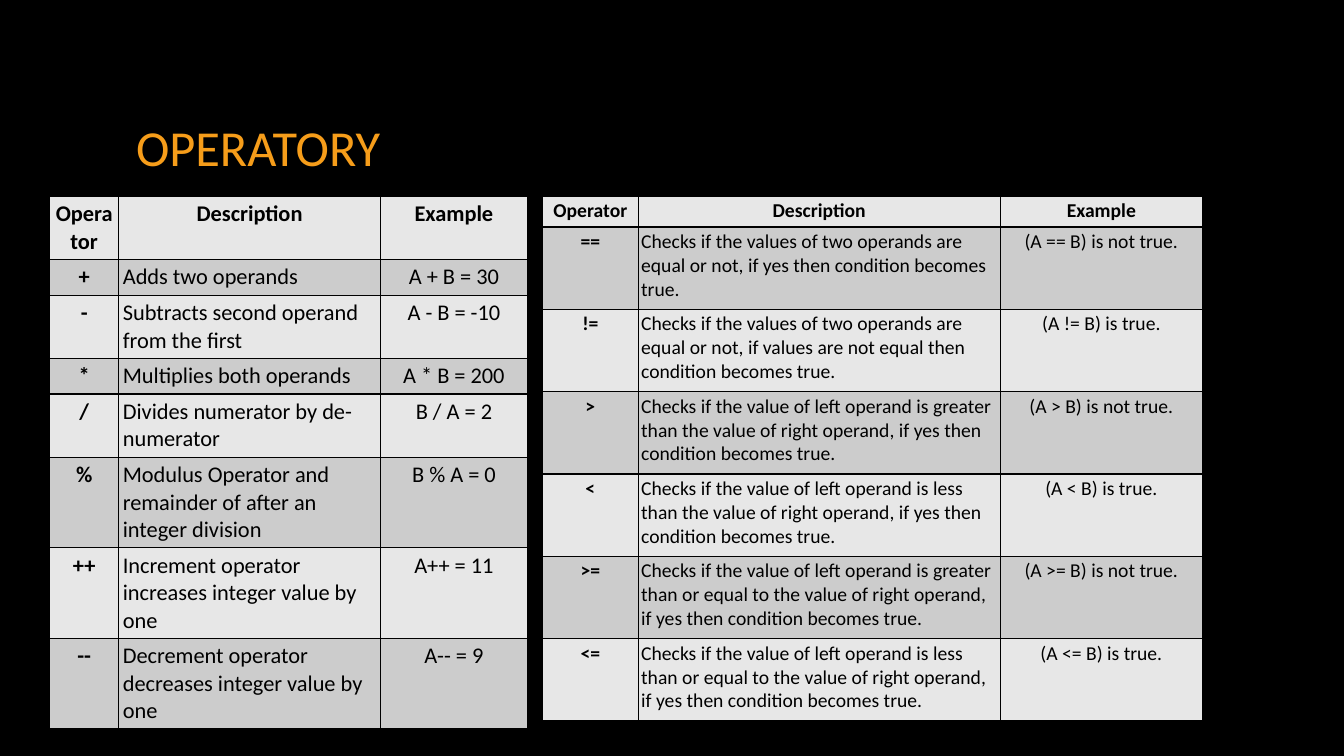
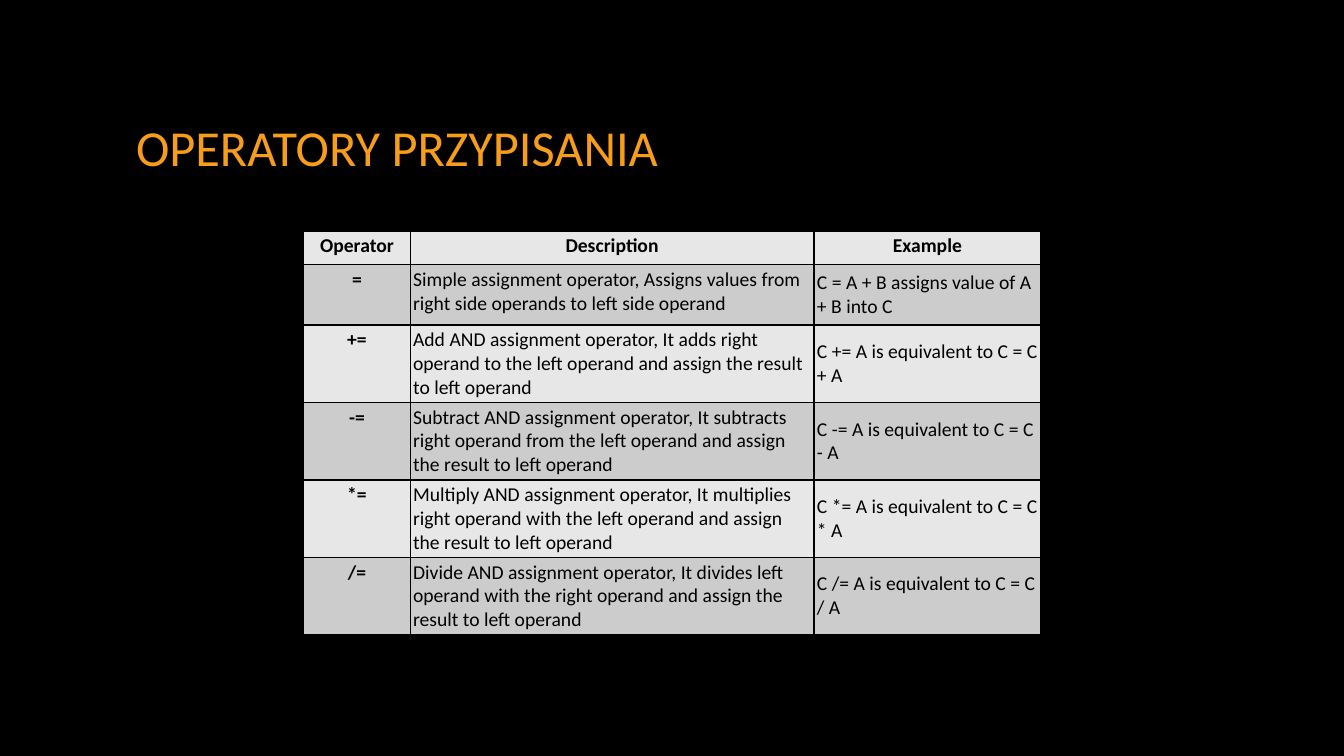
from lxml import etree
from pptx import Presentation
from pptx.dml.color import RGBColor
from pptx.enum import text
from pptx.oxml.ns import qn
from pptx.util import Pt

FONT = "Calibri"
BLACK = RGBColor(0x00, 0x00, 0x00)
ORANGE = RGBColor(0xF6, 0x9D, 0x1A)
LIGHT = RGBColor(0xE7, 0xE7, 0xE7)
GREY = RGBColor(0xCC, 0xCC, 0xCC)
CENTER, LEFT = text.PP_ALIGN.CENTER, text.PP_ALIGN.LEFT
TOP, MIDDLE = text.MSO_ANCHOR.TOP, text.MSO_ANCHOR.MIDDLE
HEADER = ("Operator", "Description", "Example")

# Table contents
ARITHMETIC = [
    ("+", "Adds two operands", "A + B = 30"),
    ("-", "Subtracts second operand from the first", "A - B = -10"),
    ("*", "Multiplies both operands", "A * B = 200"),
    ("/", "Divides numerator by de-numerator", "B / A = 2"),
    ("%", "Modulus Operator and remainder of after an integer division", "B % A = 0"),
    ("++", "Increment operator increases integer value by one", "A++ = 11"),
    ("--", "Decrement operator decreases integer value by one", "A-- = 9"),
]
COMPARISON = [
    ("==", "Checks if the values of two operands are equal or not, "
     "if yes then condition becomes true.", "(A == B) is not true."),
    ("!=", "Checks if the values of two operands are equal or not, "
     "if values are not equal then condition becomes true.", "(A != B) is true."),
    (">", "Checks if the value of left operand is greater than the value of "
     "right operand, if yes then condition becomes true.", "(A > B) is not true."),
    ("<", "Checks if the value of left operand is less than the value of "
     "right operand, if yes then condition becomes true.", "(A < B) is true."),
    (">=", "Checks if the value of left operand is greater than or equal to the value of "
     "right operand, if yes then condition becomes true.", "(A >= B) is not true."),
    ("<=", "Checks if the value of left operand is less than or equal to the value of "
     "right operand, if yes then condition becomes true.", "(A <= B) is true."),
]
ASSIGNMENT = [
    ("=", "Simple assignment operator, Assigns values from right side operands "
     "to left side operand", "C = A + B assigns value of A + B into C"),
    ("+=", "Add AND assignment operator, It adds right operand to the left operand "
     "and assign the result to left operand", "C += A is equivalent to C = C + A"),
    ("-=", "Subtract AND assignment operator, It subtracts right operand from the left "
     "operand and assign the result to left operand", "C -= A is equivalent to C = C - A"),
    ("*=", "Multiply AND assignment operator, It multiplies right operand with the left "
     "operand and assign the result to left operand", "C *= A is equivalent to C = C * A"),
    ("/=", "Divide AND assignment operator, It divides left operand with the right "
     "operand and assign the result to left operand", "C /= A is equivalent to C = C / A"),
]


def add_borders(cell):
    """Give all four sides of a cell a 1 pt black line."""
    tcPr = cell._tc.get_or_add_tcPr()
    for side in ("a:lnL", "a:lnR", "a:lnT", "a:lnB"):
        ln = etree.SubElement(tcPr, qn(side), w=str(Pt(1)))
        fill = etree.SubElement(ln, qn("a:solidFill"))
        etree.SubElement(fill, qn("a:srgbClr"), val=str(BLACK))


def add_operator_table(s, left, top, widths, heights, rows, size, inset,
                       example_align=CENTER, example_anchor=TOP):
    """Add a table with a header row and alternating row fills."""
    tbl = s.shapes.add_table(len(heights), len(widths), Pt(left), Pt(top),
                             Pt(sum(widths)), Pt(sum(heights))).table
    tbl.first_row = tbl.horz_banding = False
    for col, width in zip(tbl.columns, widths):
        col.width = Pt(width)
    for i, (row, height, values) in enumerate(zip(tbl.rows, heights, [HEADER] + rows)):
        row.height = Pt(height)
        for j, (cell, value) in enumerate(zip(row.cells, values)):
            is_header = i == 0
            is_example = j == 2 and not is_header
            add_borders(cell)
            cell.fill.solid()
            cell.fill.fore_color.rgb = GREY if i % 2 else LIGHT
            cell.margin_left = cell.margin_right = Pt(inset)
            cell.margin_top = cell.margin_bottom = Pt(inset)
            cell.vertical_anchor = example_anchor if is_example else TOP
            p = cell.text_frame.paragraphs[0]
            p.alignment = CENTER if is_header else (CENTER, LEFT, example_align)[j]
            r = p.add_run()
            r.text = value
            r.font.name, r.font.size = FONT, Pt(size)
            r.font.bold = is_header or j == 0
            r.font.color.rgb = BLACK


# Presentation, shared background and title position
prs = Presentation()
prs.slide_width, prs.slide_height = Pt(960), Pt(540)
bg = prs.slide_master.background.fill
bg.solid()
bg.fore_color.rgb = BLACK
layout = prs.slide_layouts[5]
sp = layout.placeholders[0]
sp.left, sp.top, sp.width, sp.height = Pt(90), Pt(49), Pt(780), Pt(116.5)

# Slides with their titles
slides = []
for title in ("OPERATORY", "OPERATORY PRZYPISANIA"):
    s = prs.slides.add_slide(layout)
    tf = s.shapes.title.text_frame
    tf.auto_size = text.MSO_AUTO_SIZE.NONE
    tf.vertical_anchor = MIDDLE
    p = tf.paragraphs[0]
    p.alignment, p.line_spacing = LEFT, 0.9
    r = p.add_run()
    r.text = title
    r.font.name, r.font.size = FONT, Pt(36)
    r.font.color.rgb = ORANGE
    slides.append(s)

# Slide 1: arithmetic and comparison operators
add_operator_table(slides[0], 35.5, 140.2, (49.3, 187, 105),
                   [33, 19.5, 33, 19.5, 34.5] + [47] * 3, ARITHMETIC, 16, 3)
add_operator_table(slides[0], 387.5, 140.2, (68.4, 258.5, 144.7),
                   [22] + [58.8] * 6, COMPARISON, 14, 2.1)

# Slide 2: assignment operators
add_operator_table(slides[1], 217, 165.2, (76, 288.5, 162),
                   [24, 43] + [53.3] * 4, ASSIGNMENT, 14, 2.1, LEFT, MIDDLE)

prs.save("out.pptx")
